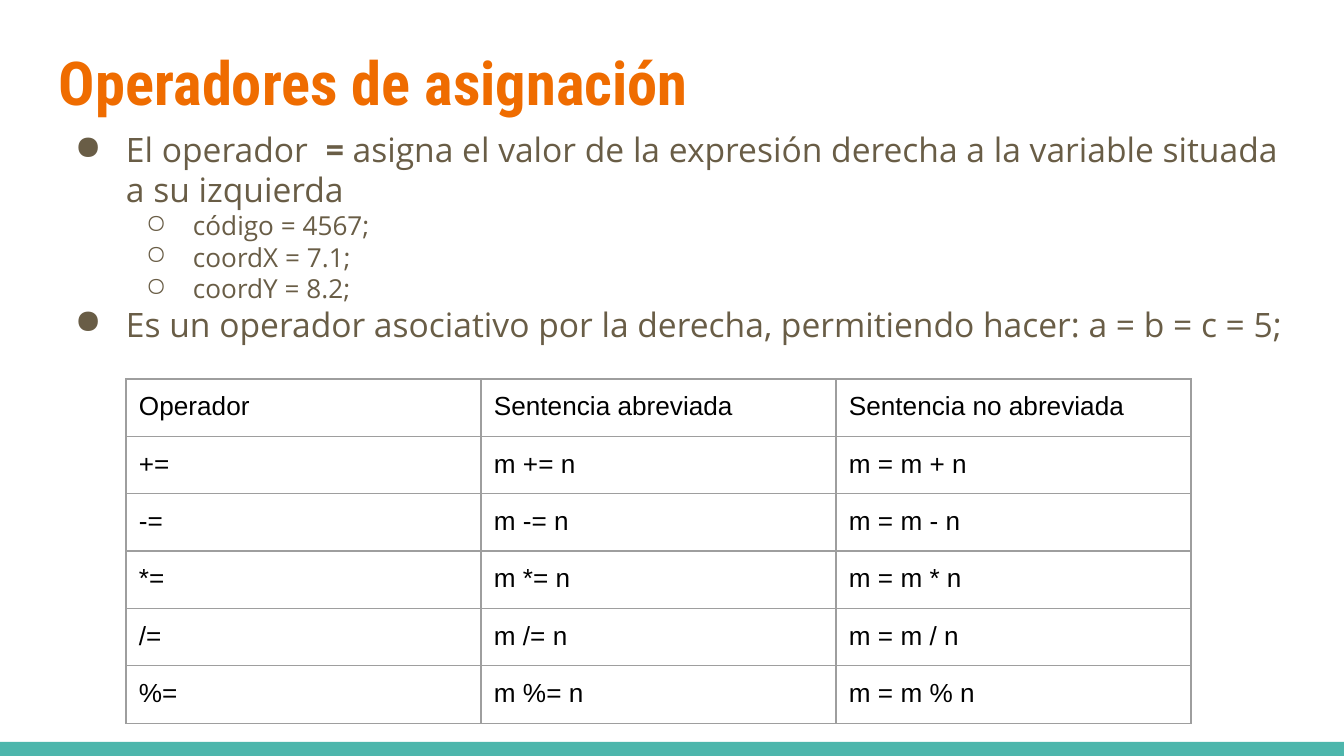
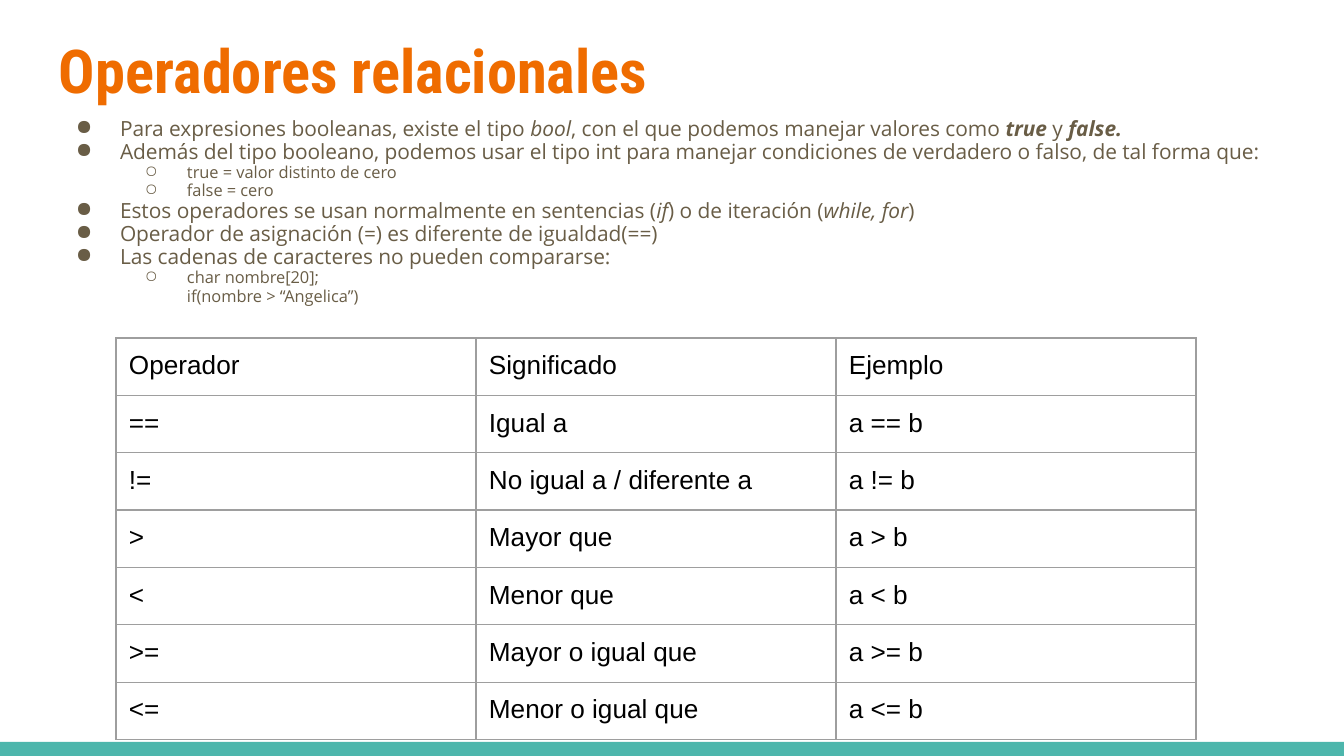
from lxml.etree import SubElement
from pptx import Presentation
from pptx.dml.color import RGBColor
from pptx.enum.shapes import MSO_SHAPE
from pptx.enum.text import MSO_ANCHOR
from pptx.oxml.ns import qn
from pptx.util import Pt

PX = 914400 / 134.4
INSET = 13
ROW_HEIGHT = 56

TEAL = RGBColor(0x4D, 0xB6, 0xAC)
ORANGE = RGBColor(0xEF, 0x6C, 0x00)
BROWN = RGBColor(0x69, 0x5D, 0x46)
GRAY = RGBColor(0x9E, 0x9E, 0x9E)
BLACK = RGBColor(0, 0, 0)

TITLE_FONT = "Roboto Condensed"
BODY_FONT = "Open Sans"
TABLE_FONT = "Arial"

# Each point is (level, spans); a span is (text, style) with style "b", "i" or "bi".
ASSIGNMENT_POINTS = [
    (0, [("El operador ", ""), (" = ", "bi"),
         ("asigna el valor de la expresión derecha a la variable situada a su izquierda", "")]),
    (1, [("código = 4567;", "")]),
    (1, [("coordX = 7.1;", "")]),
    (1, [("coordY = 8.2;", "")]),
    (0, [("Es un operador asociativo por la derecha, permitiendo hacer: a = b = c = 5;", "")]),
]
ASSIGNMENT_ROWS = [("Operador", "Sentencia abreviada", "Sentencia no abreviada")] + [
    (f"{sign}=", f"m {sign}= n", f"m = m {sign} n") for sign in "+-*/%"
]

RELATIONAL_POINTS = [
    (0, [("Para expresiones booleanas, existe el tipo ", ""), ("bool", "i"),
         (", con el que podemos manejar valores como ", ""), ("true ", "bi"),
         ("y", ""), (" false.", "bi")]),
    (0, [("Además del tipo booleano, podemos usar el tipo int para manejar "
          "condiciones de verdadero o falso, de tal forma que:", "")]),
    (1, [("true = valor distinto de cero", "")]),
    (1, [("false = cero", "")]),
    (0, [("Estos operadores se usan normalmente en sentencias (", ""), ("if", "i"),
         (") o de iteración (", ""), ("while, for", "i"), (")", "")]),
    (0, [("Operador de asignación (=) es diferente de igualdad(==)", "")]),
    (0, [("Las cadenas de caracteres no pueden compararse:", "")]),
    (1, [("char nombre[20];", ""), ("\n", ""), ("if(nombre > “Angelica”)", "")]),
]
MEANINGS = {
    "==": "Igual a",
    "!=": "No igual a / diferente a",
    ">": "Mayor que",
    "<": "Menor que",
    ">=": "Mayor o igual que",
    "<=": "Menor o igual que",
}
RELATIONAL_ROWS = [("Operador", "Significado", "Ejemplo")] + [
    (sign, meaning, f"a {sign} b") for sign, meaning in MEANINGS.items()
]


def px(length):
    return round(length * PX)


def set_font(font, name, size, color):
    font.name = name
    font.size = Pt(size)
    font.color.rgb = color


def add_text_frame(page, box):
    frame = page.shapes.add_textbox(*map(px, box)).text_frame
    frame.word_wrap = True
    frame.vertical_anchor = MSO_ANCHOR.TOP
    frame.margin_left = frame.margin_right = px(INSET)
    frame.margin_top = frame.margin_bottom = px(INSET)
    return frame


def add_footer_band(page):
    band = page.shapes.add_shape(MSO_SHAPE.RECTANGLE, 0, px(742), px(1344), px(14))
    band.shadow.inherit = False
    band.fill.solid()
    band.fill.fore_color.rgb = TEAL
    band.line.fill.background()


def add_title(page, box, text):
    para = add_text_frame(page, box).paragraphs[0]
    para.text = text
    set_font(para.font, TITLE_FONT, 32.4, ORANGE)
    para.font.bold = True


def set_bullet(para, level, hang):
    para.level = level
    properties = para._p.get_or_add_pPr()
    properties.set("marL", str(px(67 * (level + 1))))
    properties.set("indent", str(-px(hang)))
    color = SubElement(properties, qn("a:buClr"))
    SubElement(color, qn("a:srgbClr"), val=str(BROWN))
    SubElement(properties, qn("a:buChar"), char="●○"[level])


def add_points(page, box, points, sizes, hangs, spacing):
    """Fill a bulleted list; sizes and hangs hold one value per level."""
    frame = add_text_frame(page, box)
    for index, (level, spans) in enumerate(points):
        para = frame.add_paragraph() if index else frame.paragraphs[0]
        para.line_spacing = spacing
        set_bullet(para, level, hangs[level])
        set_font(para.font, BODY_FONT, sizes[level], BROWN)
        for text, style in spans:
            if text == "\n":
                para.add_line_break()
                continue
            span = para.add_run()
            span.text = text
            if style:
                span.font.bold = "b" in style
                span.font.italic = "i" in style


def set_borders(cell):
    properties = cell._tc.get_or_add_tcPr()
    for side in ("lnL", "lnR", "lnT", "lnB"):
        line = SubElement(properties, qn(f"a:{side}"), w=str(Pt(0.75)))
        fill = SubElement(line, qn("a:solidFill"))
        SubElement(fill, qn("a:srgbClr"), val=str(GRAY))


def add_operator_table(page, left, top, column_width, rows):
    columns = len(rows[0])
    table = page.shapes.add_table(
        len(rows), columns, px(left), px(top),
        px(column_width * columns), px(ROW_HEIGHT * len(rows))).table
    table.first_row = table.horz_banding = False
    for column in table.columns:
        column.width = px(column_width)
    for row, texts in zip(table.rows, rows):
        row.height = px(ROW_HEIGHT)
        for cell, text in zip(row.cells, texts):
            set_borders(cell)
            cell.fill.background()
            cell.margin_left = cell.margin_right = px(INSET)
            cell.margin_top = cell.margin_bottom = px(INSET)
            para = cell.text_frame.paragraphs[0]
            para.text = text
            set_font(para.font, TABLE_FONT, 14, BLACK)


def add_page(deck):
    page = deck.slides.add_slide(deck.slide_layouts[6])
    add_footer_band(page)
    return page


def build_assignment_page(deck):
    page = add_page(deck)
    add_title(page, (46, 32, 1252, 104), "Operadores de asignación")
    add_operator_table(page, 126, 379, 355, ASSIGNMENT_ROWS)
    add_points(page, (46, 116, 1252, 276), ASSIGNMENT_POINTS,
               sizes=(18, 14), hangs=(51, 47), spacing=1.0)


def build_relational_page(deck):
    page = add_page(deck)
    add_title(page, (46, 20, 1252, 85), "Operadores relacionales")
    add_points(page, (40, 105, 1252, 503), RELATIONAL_POINTS,
               sizes=(11.2, 8.8), hangs=(44, 42), spacing=0.92)
    add_operator_table(page, 116, 338, 360, RELATIONAL_ROWS)


def main():
    deck = Presentation()
    deck.slide_width, deck.slide_height = px(1344), px(756)
    build_assignment_page(deck)
    build_relational_page(deck)
    deck.save("out.pptx")


if __name__ == "__main__":
    main()
